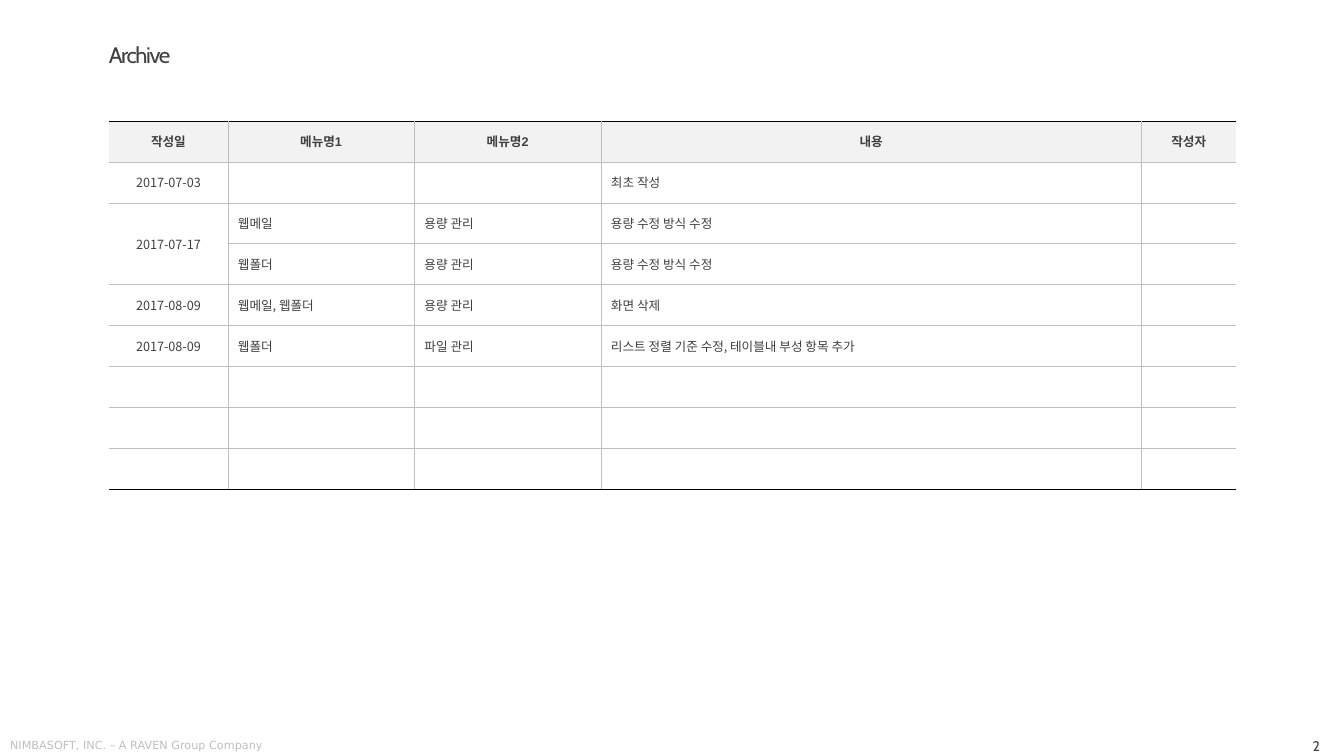
import pptx
import pptx.dml.color
import pptx.enum.text
import pptx.oxml
import pptx.oxml.ns
import pptx.util

Inches = pptx.util.Inches
Pt = pptx.util.Pt
RGBColor = pptx.dml.color.RGBColor
ALIGN = pptx.enum.text.PP_ALIGN
ANCHOR = pptx.enum.text.MSO_ANCHOR
NS = pptx.oxml.ns.nsdecls("a")

TEXT = RGBColor(0x40, 0x40, 0x40)
MUTED = RGBColor(0xBF, 0xBF, 0xBF)
HEADER_FILL = RGBColor(0xF2, 0xF2, 0xF2)
RULE = RGBColor(0x00, 0x00, 0x00)

COLUMNS = [1.18, 1.85, 1.85, 5.36, 0.94]
ROWS = [
    ["작성일", "메뉴명1", "메뉴명2", "내용", "작성자"],
    ["2017-07-03", "", "", "최초 작성", ""],
    ["2017-07-17", "웹메일", "용량 관리", "용량 수정 방식 수정", ""],
    ["", "웹폴더", "용량 관리", "용량 수정 방식 수정", ""],
    ["2017-08-09", "웹메일, 웹폴더", "용량 관리", "화면 삭제", ""],
    ["2017-08-09", "웹폴더", "파일 관리", "리스트 정렬 기준 수정, 테이블내 부성 항목 추가", ""],
] + [[""] * 5] * 3


class SlideBuilder:
    """Holds the text style and the current slide, and adds elements to it."""

    ea_font = "Noto Sans CJK KR"
    border_width = Pt(0.25)

    def __init__(self, prs):
        self.s = prs.slides.add_slide(prs.slide_layouts[6])

    def apply(self, target, values):
        for name, value in values.items():
            setattr(target, name, value)

    def run(self, p, text, font, color=TEXT, spacing=None):
        if not text:
            p._p.get_or_add_endParaRPr().set("sz", str(int(font["size"].pt * 100)))
            return
        r = p.add_run()
        r.text = text
        self.apply(r.font, font)
        r.font.color.rgb = color
        rPr = r.font._element
        rPr.append(pptx.oxml.parse_xml(f'<a:ea {NS} typeface="{self.ea_font}"/>'))
        if spacing is not None:
            rPr.set("spc", str(spacing))

    def text(self, box, text, font, frame, paragraph, **style):
        sp = self.s.shapes.add_textbox(*map(Inches, box))
        tf = sp.text_frame
        self.apply(tf, {"word_wrap": True, **frame})
        p = tf.paragraphs[0]
        self.apply(p, paragraph)
        self.run(p, text, font, **style)

    def border(self, cell, side, color):
        if color is None:
            fill = "<a:noFill/>"
        else:
            fill = f'<a:solidFill><a:srgbClr val="{color}"/></a:solidFill>'
        cell._tc.get_or_add_tcPr().append(pptx.oxml.parse_xml(
            f'<a:ln{side} {NS} w="{self.border_width}">{fill}</a:ln{side}>'))

    def table(self, box, columns, rows, merges):
        frame = self.s.shapes.add_table(len(rows), len(columns), *map(Inches, box))
        table = frame.table
        self.apply(table, {"first_row": False, "horz_banding": False})
        for column, width in zip(table.columns, columns):
            column.width = Inches(width)
        for row in table.rows:
            row.height = Inches(box[3] / len(rows))
        for first, last in merges:
            table.cell(*first).merge(table.cell(*last))
        for i, values in enumerate(rows):
            for j, value in enumerate(values):
                self.cell(table.cell(i, j), value, header=i == 0, centred=i == 0 or j == 0,
                          L=None if j == 0 else MUTED,
                          R=None if j == len(columns) - 1 else MUTED,
                          T=RULE if i == 0 else MUTED,
                          B=RULE if i == len(rows) - 1 else MUTED)

    def cell(self, cell, value, header, centred, **borders):
        for side, color in borders.items():
            self.border(cell, side, color)
        if header:
            cell.fill.solid()
            cell.fill.fore_color.rgb = HEADER_FILL
        else:
            cell.fill.background()
        cell.vertical_anchor = ANCHOR.MIDDLE
        p = cell.text_frame.paragraphs[0]
        p.alignment = ALIGN.CENTER if centred else ALIGN.LEFT
        name = "Arial" if header else self.ea_font
        self.run(p, value, {"size": Pt(9), "name": name, "bold": header})


def main():
    prs = pptx.Presentation()
    prs.slide_width, prs.slide_height = Inches(13.33), Inches(7.5)
    builder = SlideBuilder(prs)
    sides = ("margin_left", "margin_top", "margin_right", "margin_bottom")
    footer = dict(zip(sides, map(Inches, (0.04, 0.05, 0.04, 0.05))))

    builder.text((12.42, 7.29, 0.71, 0.21), "2", {"size": Pt(10), "name": "Cabin"},
                 {**footer, "vertical_anchor": ANCHOR.MIDDLE}, {"alignment": ALIGN.RIGHT})
    builder.text((0.06, 7.28, 3.59, 0.21), "NIMBASOFT, INC. – A RAVEN Group Company",
                 {"size": Pt(8), "name": "DejaVu Sans"}, footer, {}, color=MUTED)
    builder.text((1.08, 0.44, 9.37, 0.36), "Archive", {"size": Pt(16), "name": "Cabin"},
                 dict.fromkeys(sides, 0), {"line_spacing": 0.9, "space_before": Pt(10)},
                 spacing=-100)
    builder.table((1.08, 1.2, 11.18, 3.65), COLUMNS, ROWS, [((2, 0), (3, 0))])
    prs.save("out.pptx")


if __name__ == "__main__":
    main()
